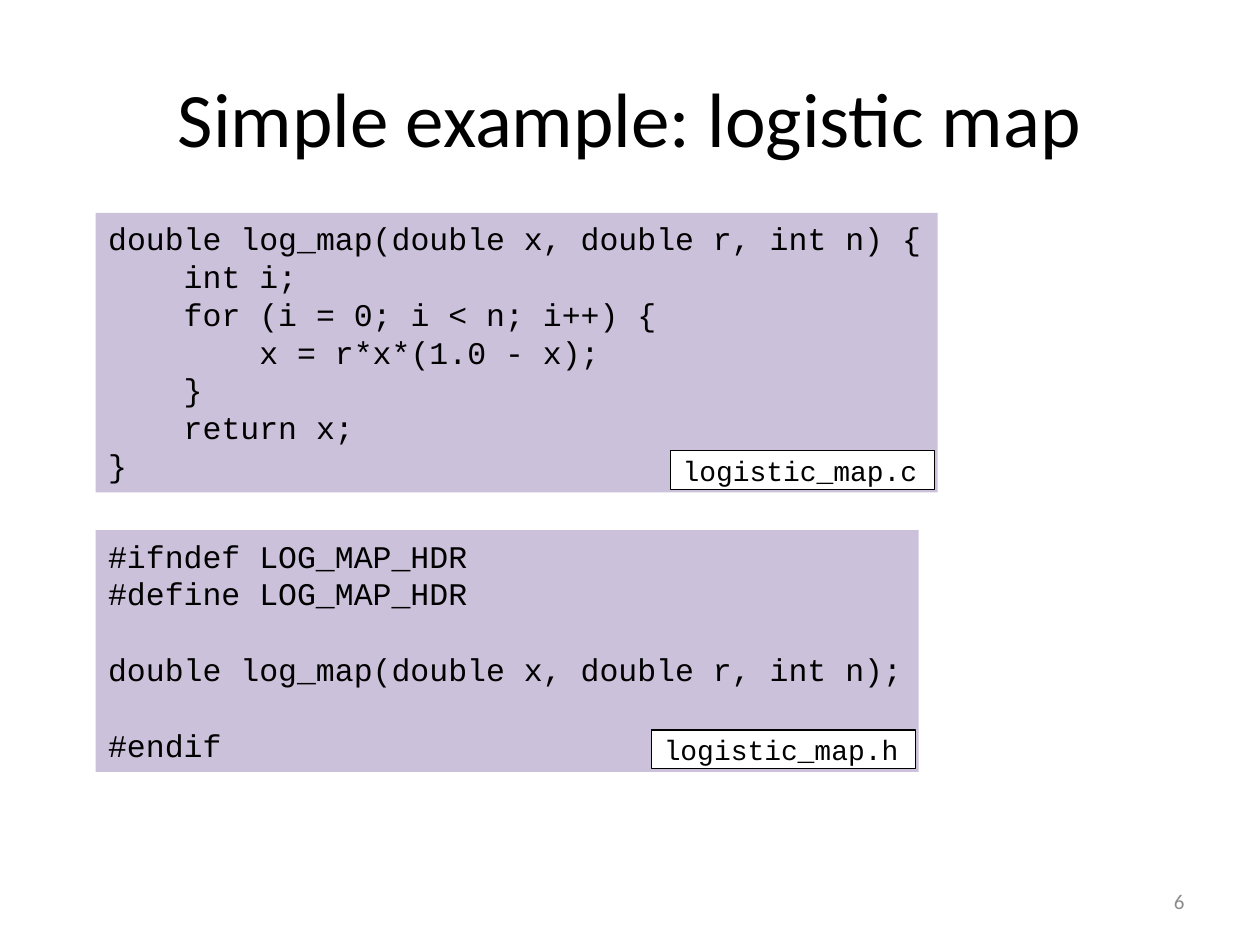
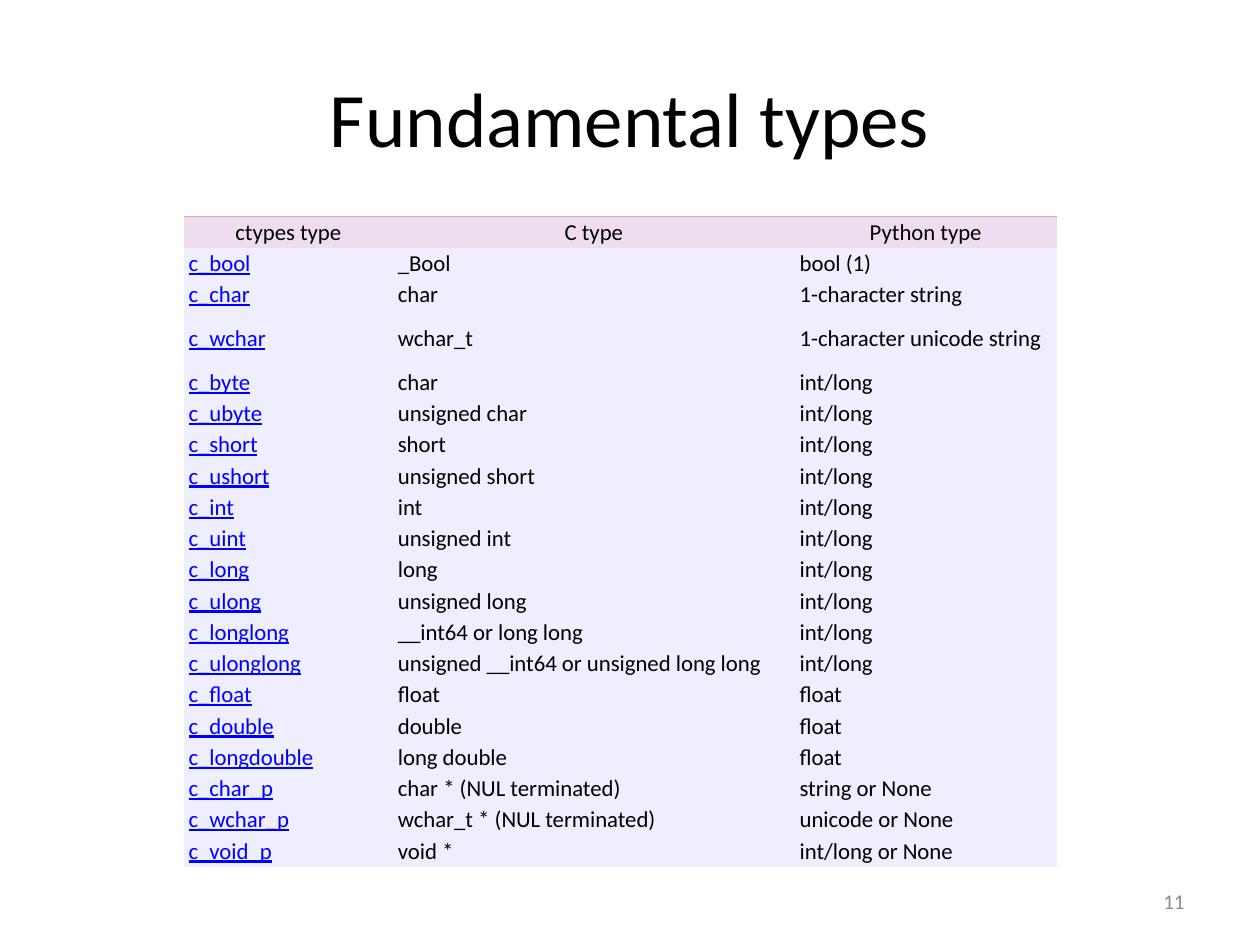
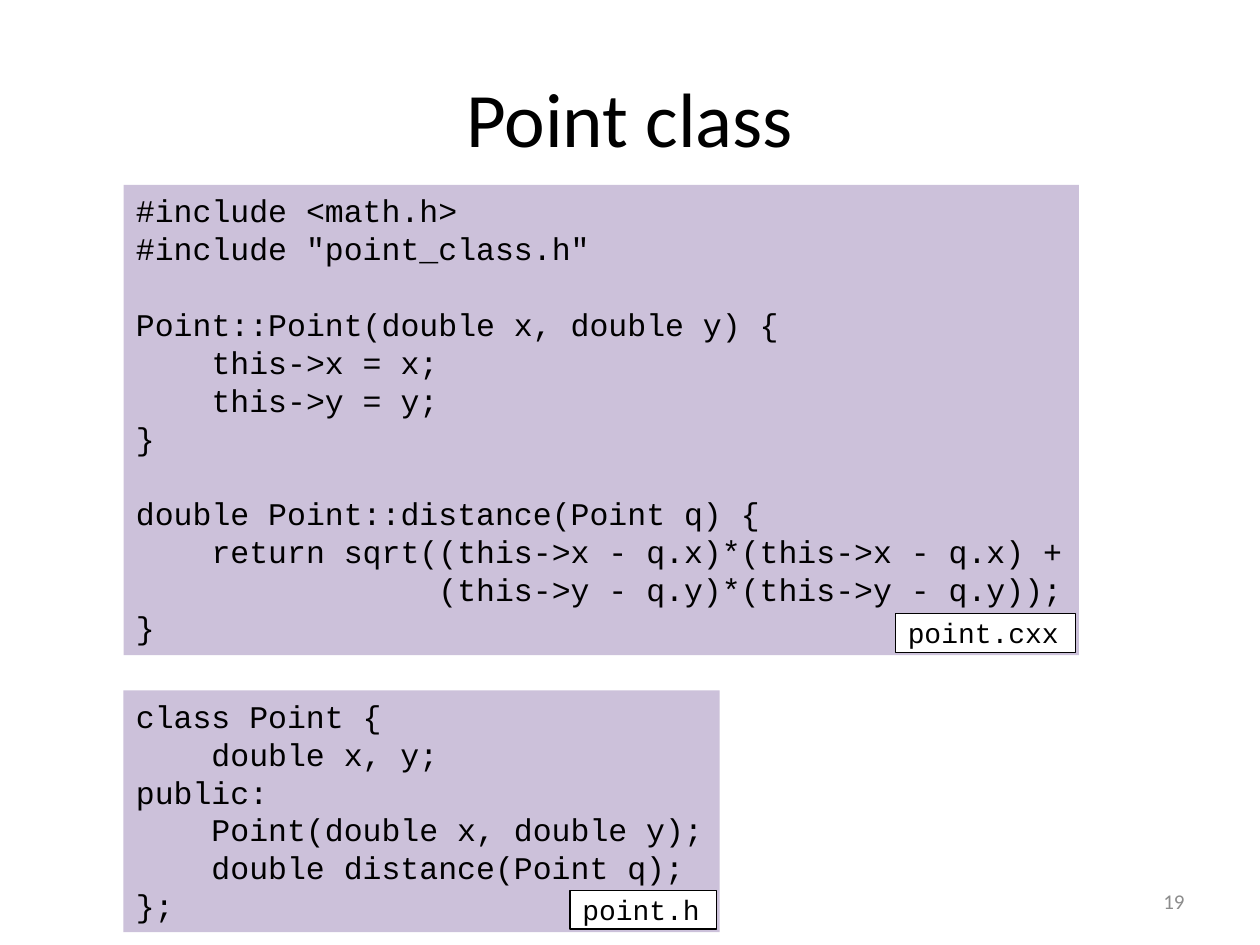
from dataclasses import dataclass

from lxml import etree
from pptx import Presentation
from pptx import util as u
from pptx.dml.color import RGBColor
from pptx.enum import shapes, text
from pptx.oxml import ns


@dataclass(frozen=True)
class Theme:
    ink: str = "000000"
    muted: str = "8C8C8C"
    header_fill: str = "EEDDEE"
    header_line: str = "CCAACC"
    body_fill: str = "EEEEFF"
    type_name: str = "0000FF"
    code_fill: str = "CCC1DA"
    label_fill: str = "FFFFFF"
    font: str = "Calibri"
    mono: str = "Courier New"
    title_size: int = 44
    code_size: int = 18
    label_size: int = 16
    table_size: int = 13
    number_size: int = 12


@dataclass(frozen=True)
class MonoStyle:
    """Look of a box of code text; inset is the top and bottom margin in cm."""
    size: int
    fill: str
    inset: float
    outlined: bool


@dataclass(frozen=True)
class Listing:
    """Source code on a panel, with its file name in the lower right corner."""
    left: float
    top: float
    file_name: str
    code: str


THEME = Theme()
CODE = MonoStyle(THEME.code_size, THEME.code_fill, 0.13, outlined=False)
# The small inset keeps a label within the height of the last line of code.
LABEL = MonoStyle(THEME.label_size, THEME.label_fill, 0.05, outlined=True)
CM_PER_PT = 2.54 / 72
CHAR_WIDTH = 0.6    # of the type size, in the code font
LINE_HEIGHT = 1.21  # of the type size
LABEL_GAP = 0.06
NO_STYLE_NO_GRID = "{2D5ABB26-0587-4C30-8999-92F81FD0307C}"

LOGISTIC_MAP = (
    Listing(1.93, 4.29, "logistic_map.c", """\
double log_map(double x, double r, int n) {
    int i;
    for (i = 0; i < n; i++) {
        x = r*x*(1.0 - x);
    }
    return x;
}"""),
    Listing(1.93, 10.69, "logistic_map.h", """\
#ifndef LOG_MAP_HDR
#define LOG_MAP_HDR

double log_map(double x, double r, int n);

#endif"""),
)

POINT_CLASS = (
    Listing(2.49, 3.73, "point.cxx", """\
#include <math.h>
#include "point_class.h"

Point::Point(double x, double y) {
    this->x = x;
    this->y = y;
}

double Point::distance(Point q) {
    return sqrt((this->x - q.x)*(this->x - q.x) +
                (this->y - q.y)*(this->y - q.y));
}"""),
    Listing(2.49, 13.92, "point.h", """\
class Point {
    double x, y;
public:
    Point(double x, double y);
    double distance(Point q);
};"""),
)

TYPE_COLUMNS = (4.22, 8.1, 5.28)
TYPE_ROW, TALL_TYPE_ROW = 0.63, 1.14
TYPES = (
    ("ctypes type", "C type", "Python type"),
    ("c_bool", "_Bool", "bool (1)"),
    ("c_char", "char", "1-character string"),
    ("c_wchar", "wchar_t", "1-character unicode string"),
    ("c_byte", "char", "int/long"),
    ("c_ubyte", "unsigned char", "int/long"),
    ("c_short", "short", "int/long"),
    ("c_ushort", "unsigned short", "int/long"),
    ("c_int", "int", "int/long"),
    ("c_uint", "unsigned int", "int/long"),
    ("c_long", "long", "int/long"),
    ("c_ulong", "unsigned long", "int/long"),
    ("c_longlong", "__int64 or long long", "int/long"),
    ("c_ulonglong", "unsigned __int64 or unsigned long long", "int/long"),
    ("c_float", "float", "float"),
    ("c_double", "double", "float"),
    ("c_longdouble", "long double", "float"),
    ("c_char_p", "char * (NUL terminated)", "string or None"),
    ("c_wchar_p", "wchar_t * (NUL terminated)", "unicode or None"),
    ("c_void_p", "void *", "int/long or None"),
)


def add_run(p, words: str, size: int, color: str = THEME.ink, font: str = THEME.font):
    r = p.add_run()
    r.text = words
    r.font.name = font
    r.font.size = u.Pt(size)
    r.font.color.rgb = RGBColor.from_string(color)
    return r


def add_line(s, box: tuple, words: str, size: int, color: str, align) -> None:
    """Add a vertically centred text box; box is left, top, width, height in cm."""
    tf = s.shapes.add_textbox(*map(u.Cm, box)).text_frame
    tf.word_wrap = True
    tf.vertical_anchor = text.MSO_ANCHOR.MIDDLE
    p = tf.paragraphs[0]
    p.alignment = align
    add_run(p, words, size, color)


def add_titled_slide(prs, title: str, number: int):
    s = prs.slides.add_slide(prs.slide_layouts[6])
    add_line(s, (1.27, 0.76, 22.86, 3.18), title, THEME.title_size, THEME.ink,
             text.PP_ALIGN.CENTER)
    add_line(s, (18.2, 17.65, 5.93, 1.02), str(number), THEME.number_size, THEME.muted,
             text.PP_ALIGN.RIGHT)
    return s


def mono_extent(lines: list[str], style: MonoStyle) -> tuple[float, float]:
    """Width and height in cm of a box that fits the lines and its insets."""
    em = style.size * CM_PER_PT
    return (max(map(len, lines)) * CHAR_WIDTH * em + 0.59,
            len(lines) * LINE_HEIGHT * em + 2 * style.inset)


def add_mono_box(group, left: float, top: float, lines: list[str], style: MonoStyle) -> None:
    width, height = mono_extent(lines, style)
    sp = group.shapes.add_shape(shapes.MSO_SHAPE.RECTANGLE,
                                *map(u.Cm, (left, top, width, height)))
    sp.shadow.inherit = False
    sp.fill.solid()
    sp.fill.fore_color.rgb = RGBColor.from_string(style.fill)
    if style.outlined:
        sp.line.color.rgb = RGBColor.from_string(THEME.ink)
        sp.line.width = u.Pt(0.75)
    else:
        sp.line.fill.background()
    tf = sp.text_frame
    tf.word_wrap = False
    tf.auto_size = text.MSO_AUTO_SIZE.SHAPE_TO_FIT_TEXT
    tf.vertical_anchor = text.MSO_ANCHOR.TOP
    tf.margin_top = tf.margin_bottom = u.Cm(style.inset)
    p = tf.paragraphs[0]
    for i, line in enumerate(lines):
        if not line:
            continue
        if i:
            p = tf.add_paragraph()
            if not lines[i - 1]:
                p.space_before = u.Pt(style.size * LINE_HEIGHT)
        p.alignment = text.PP_ALIGN.LEFT
        add_run(p, line, style.size, font=THEME.mono)


def add_listing(s, listing: Listing) -> None:
    group = s.shapes.add_group_shape()
    lines = listing.code.split("\n")
    width, height = mono_extent(lines, CODE)
    add_mono_box(group, listing.left, listing.top, lines, CODE)
    label = [listing.file_name]
    label_width, label_height = mono_extent(label, LABEL)
    add_mono_box(group, listing.left + width - label_width - LABEL_GAP,
                 listing.top + height - label_height - LABEL_GAP, label, LABEL)


def add_top_border(cell, color: str) -> None:
    line = etree.Element(ns.qn("a:lnT"), w=str(u.Pt(0.73)))
    fill = etree.SubElement(line, ns.qn("a:solidFill"))
    etree.SubElement(fill, ns.qn("a:srgbClr"), val=color)
    cell._tc.get_or_add_tcPr().insert(0, line)


def fill_cell(cell, words: str, is_header: bool, is_type_name: bool) -> None:
    cell.margin_left = cell.margin_right = u.Cm(0.1)
    cell.margin_top = cell.margin_bottom = u.Cm(0.02)
    cell.vertical_anchor = text.MSO_ANCHOR.MIDDLE
    cell.fill.solid()
    cell.fill.fore_color.rgb = RGBColor.from_string(
        THEME.header_fill if is_header else THEME.body_fill)
    p = cell.text_frame.paragraphs[0]
    r = add_run(p, words, THEME.table_size, THEME.type_name if is_type_name else THEME.ink)
    if is_header:
        p.alignment = text.PP_ALIGN.CENTER
        add_top_border(cell, THEME.header_line)
    if is_type_name:
        r.font.underline = True


def add_type_table(s) -> None:
    heights = [TALL_TYPE_ROW if row[0] == "c_wchar" else TYPE_ROW for row in TYPES]
    box = (3.7, 4.37, sum(TYPE_COLUMNS), sum(heights))
    table = s.shapes.add_table(len(TYPES), len(TYPE_COLUMNS), *map(u.Cm, box)).table
    table.first_row = table.horz_banding = False
    table._tbl.tblPr.find(ns.qn("a:tableStyleId")).text = NO_STYLE_NO_GRID
    for column, width in zip(table.columns, TYPE_COLUMNS):
        column.width = u.Cm(width)
    for i, (row, height) in enumerate(zip(TYPES, heights)):
        table.rows[i].height = u.Cm(height)
        for j, words in enumerate(row):
            fill_cell(table.cell(i, j), words, i == 0, i > 0 and j == 0)


def main() -> None:
    prs = Presentation()
    prs.slide_width, prs.slide_height = u.Cm(25.4), u.Cm(19.05)

    s = add_titled_slide(prs, "Simple example: logistic map", 6)
    for listing in LOGISTIC_MAP:
        add_listing(s, listing)

    add_type_table(add_titled_slide(prs, "Fundamental types", 11))

    s = add_titled_slide(prs, "Point class", 19)
    for listing in POINT_CLASS:
        add_listing(s, listing)

    prs.save("out.pptx")


if __name__ == "__main__":
    main()
